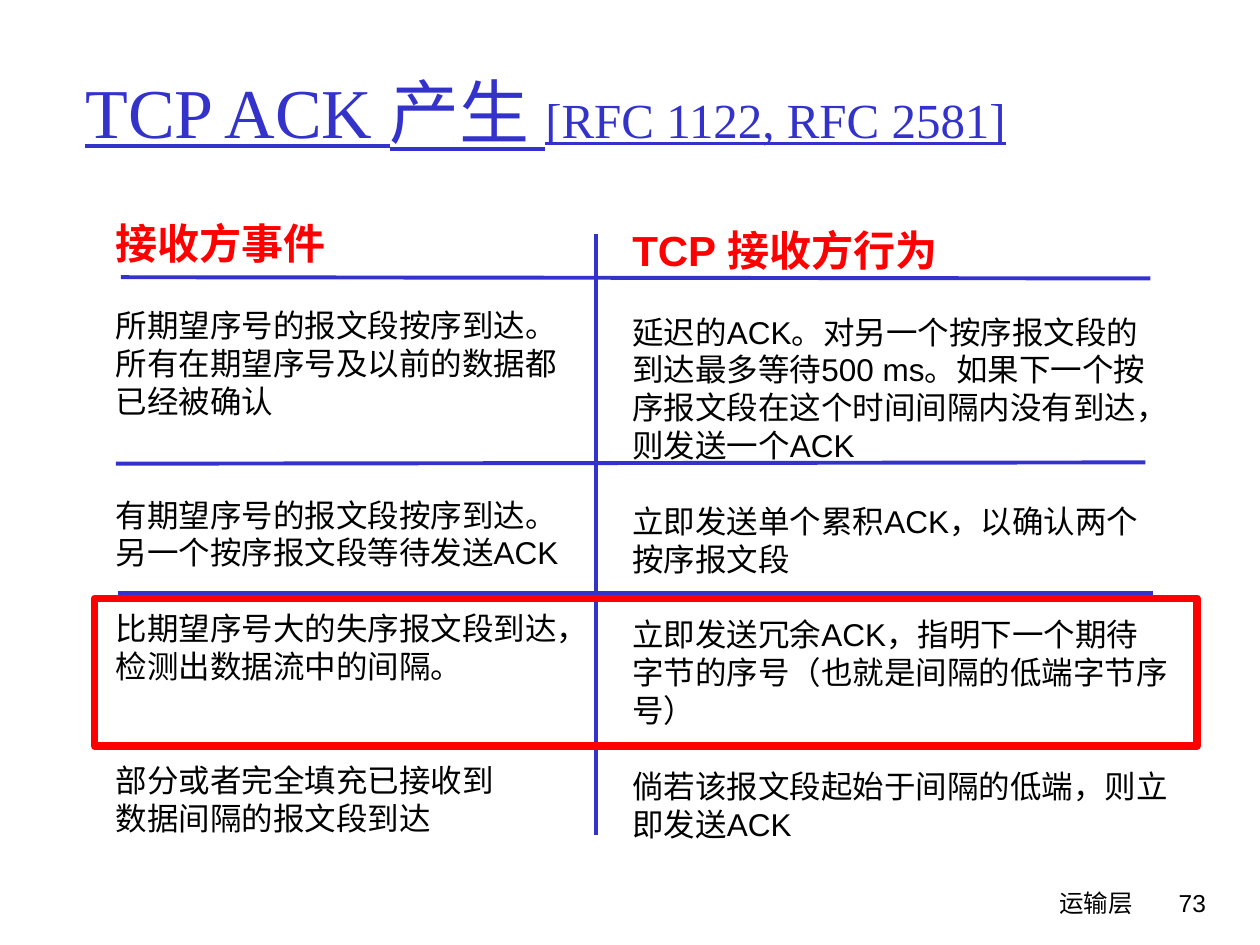
"""Build the slide on how a TCP receiver generates ACKs."""
from lxml.etree import SubElement
from pptx import Presentation
from pptx.dml.color import RGBColor
from pptx.enum.shapes import MSO_CONNECTOR, MSO_SHAPE
from pptx.enum.text import MSO_ANCHOR, PP_ALIGN
from pptx.oxml.ns import qn
from pptx.util import Inches, Pt

COLORS = {"blue": "3333CC", "red": "FF0000", "black": "000000"}
BLANK_LINE = 21.7


def add_text(paragraph, text, size=18, font="Arial", color="black", bold=False, underline=False):
    run = paragraph.add_run()
    run.text = text
    run.font.size = Pt(size)
    run.font.name = font
    run.font.bold = bold
    run.font.underline = underline
    run.font.color.rgb = RGBColor.from_string(COLORS[color])


def add_box(left, top, width, height, anchor=MSO_ANCHOR.TOP):
    box = slide.shapes.add_textbox(Inches(left), Inches(top), Inches(width), Inches(height))
    box.text_frame.word_wrap = True
    box.text_frame.vertical_anchor = anchor
    return box.text_frame


presentation = Presentation()
presentation.slide_width = Inches(10)
presentation.slide_height = Inches(7.5)
slide = presentation.slides.add_slide(presentation.slide_layouts[6])

footers = [
    (5.92, 3.17, "运输层", "Comic Neue"),
    (8.93, 0.74, "73", "Arial"),
]
for left, width, text, font in footers:
    paragraph = add_box(left, 7, width, 0.5).paragraphs[0]
    paragraph.alignment = PP_ALIGN.RIGHT
    add_text(paragraph, text, size=14, font=font)

title = add_box(0.58, 0.25, 8.5, 1.25, anchor=MSO_ANCHOR.MIDDLE).paragraphs[0]
for text, size in [("TCP ACK 产生 ", 40), ("[RFC 1122, RFC 2581]", 28)]:
    add_text(title, text, size=size, font="Times New Roman", color="blue", underline=True)

columns = [
    ((0.82, 1.68, 3.84, 5.6), "接收方事件", [
        (1, "所期望序号的报文段按序到达。所有在期望序号及以前的数据都已经被确认"),
        (2, "有期望序号的报文段按序到达。另一个按序报文段等待发送ACK"),
        (1, "比期望序号大的失序报文段到达，检测出数据流中的间隔。"),
        (2, "部分或者完全填充已接收到"),
        (0, "数据间隔的报文段到达"),
    ]),
    ((4.92, 1.73, 4.46, 5.3), "TCP 接收方行为", [
        (1, "延迟的ACK。对另一个按序报文段的到达最多等待500 ms。"
            "如果下一个按序报文段在这个时间间隔内没有到达，则发送一个ACK"),
        (1, "立即发送单个累积ACK，以确认两个按序报文段"),
        (1, "立即发送冗余ACK，指明下一个期待字节的序号（也就是间隔的低端字节序号）"),
        (1, "倘若该报文段起始于间隔的低端，则立即发送ACK"),
    ]),
]
for position, heading, entries in columns:
    text_frame = add_box(*position)
    add_text(text_frame.paragraphs[0], heading, size=24, color="red", bold=True)
    for gap_lines, text in entries:
        paragraph = text_frame.add_paragraph()
        paragraph.space_before = Pt(gap_lines * BLANK_LINE)
        add_text(paragraph, text)

rules = [
    (0.96, 2.2, 9.13, 2.21),
    (0.92, 3.68, 9.09, 3.67),
    (0.94, 4.71, 9.15, 4.71),
    (0.95, 5.92, 9.14, 5.93),
    (4.73, 1.86, 4.73, 6.63),
]
for ends in rules:
    rule = slide.shapes.add_connector(MSO_CONNECTOR.STRAIGHT, *map(Inches, ends))
    rule.line.color.rgb = RGBColor.from_string(COLORS["blue"])
    rule.line.width = Pt(2.25)
    SubElement(rule._element.spPr, qn("a:effectLst"))

highlight = slide.shapes.add_shape(
    MSO_SHAPE.RECTANGLE, Inches(0.75), Inches(4.75), Inches(8.75), Inches(1.17))
highlight.shadow.inherit = False
highlight.fill.background()
highlight.line.color.rgb = RGBColor.from_string(COLORS["red"])
highlight.line.width = Pt(4.5)

presentation.save("out.pptx")
